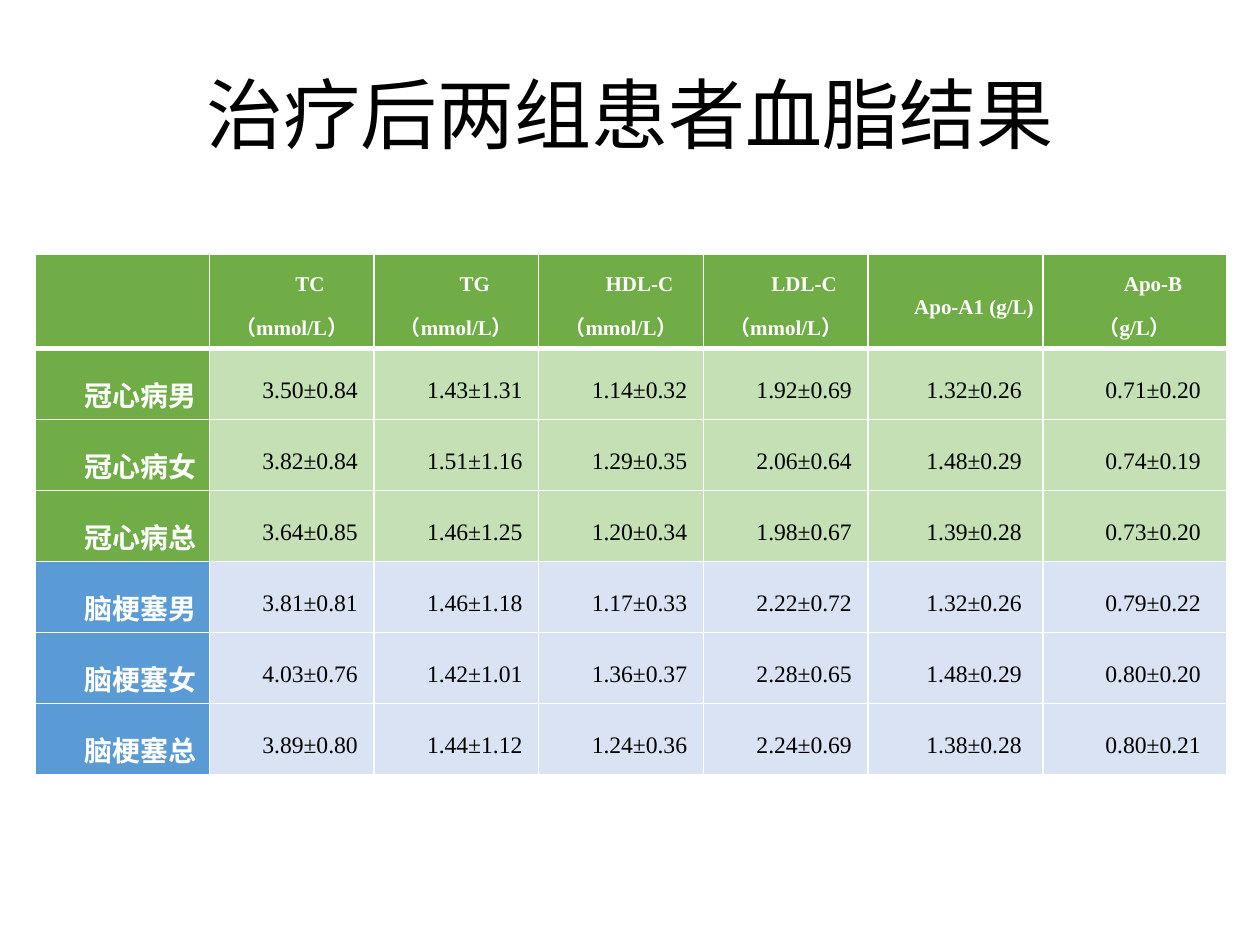
import pptx
import pptx.dml.color
import pptx.enum.text
import pptx.oxml
import pptx.oxml.ns
import pptx.util
from pptx.util import Cm

COLORS = {
    "text": "000000",
    "white": "FFFFFF",
    "coronary": "70AD47",
    "coronary_light": "C5E0B4",
    "stroke": "5B9BD5",
    "stroke_light": "DAE3F3",
}
MIDDLE = pptx.enum.text.MSO_ANCHOR.MIDDLE
CENTER = pptx.enum.text.PP_ALIGN.CENTER

HEADINGS = ["", "TC（mmol/L）", "TG（mmol/L）", "HDL-C（mmol/L）",
            "LDL-C（mmol/L）", "Apo-A1 (g/L)", "Apo-B （g/L）"]
RESULTS = [
    ["冠心病男", "3.50±0.84", "1.43±1.31", "1.14±0.32", "1.92±0.69", "1.32±0.26", "0.71±0.20"],
    ["冠心病女", "3.82±0.84", "1.51±1.16", "1.29±0.35", "2.06±0.64", "1.48±0.29", "0.74±0.19"],
    ["冠心病总", "3.64±0.85", "1.46±1.25", "1.20±0.34", "1.98±0.67", "1.39±0.28", "0.73±0.20"],
    ["脑梗塞男", "3.81±0.81", "1.46±1.18", "1.17±0.33", "2.22±0.72", "1.32±0.26", "0.79±0.22"],
    ["脑梗塞女", "4.03±0.76", "1.42±1.01", "1.36±0.37", "2.28±0.65", "1.48±0.29", "0.80±0.20"],
    ["脑梗塞总", "3.89±0.80", "1.44±1.12", "1.24±0.36", "2.24±0.69", "1.38±0.28", "0.80±0.21"],
]
COLUMN_WIDTHS = [3.51] + [3.32] * 4 + [3.53, 3.69]
ROW_HEIGHTS = [1.9] + [1.43] * len(RESULTS)

CELL_FORMAT = {"vertical_anchor": MIDDLE, "margin_left": Cm(0.19), "margin_right": Cm(0.19),
               "margin_top": 0, "margin_bottom": 0}
PARAGRAPH_FORMAT = {"alignment": CENTER, "line_spacing": 1.5, "space_after": pptx.util.Pt(6)}


def style_font(run, name, size, color, bold=False):
    for key, value in {"name": name, "size": pptx.util.Pt(size), "bold": bold}.items():
        setattr(run.font, key, value)
    run.font.color.rgb = pptx.dml.color.RGBColor.from_string(COLORS[color])


def add_border(cell, side, width):
    """Draw a white line, width in points, on side L, R, T or B."""
    cell._tc.get_or_add_tcPr().append(pptx.oxml.parse_xml(
        f'<a:ln{side} {pptx.oxml.ns.nsdecls("a")} w="{pptx.util.Pt(width)}">'
        f'<a:solidFill><a:srgbClr val="{COLORS["white"]}"/></a:solidFill></a:ln{side}>'))


presentation = pptx.Presentation()
presentation.slide_width = Cm(25.4)
presentation.slide_height = Cm(19.05)
slide = presentation.slides.add_slide(presentation.slide_layouts[5])

title = slide.shapes.title
for key, value in {"left": Cm(1.75), "top": Cm(1.02), "width": Cm(21.9), "height": Cm(2.72)}.items():
    setattr(title, key, value)
title.text_frame.vertical_anchor = MIDDLE
heading = title.text_frame.paragraphs[0]
heading.alignment = CENTER
heading.line_spacing = 0.9
heading_run = heading.add_run()
heading_run.text = "治疗后两组患者血脂结果"
style_font(heading_run, "Arial", 44, "text")

lipids = slide.shapes.add_table(
    len(ROW_HEIGHTS), len(COLUMN_WIDTHS), Cm(0.71), Cm(5.13),
    Cm(sum(COLUMN_WIDTHS)), Cm(sum(ROW_HEIGHTS))).table
for column, width in zip(lipids.columns, COLUMN_WIDTHS):
    column.width = Cm(width)
for row, height in zip(lipids.rows, ROW_HEIGHTS):
    row.height = Cm(height)

for r, values in enumerate([HEADINGS] + RESULTS):
    group = "coronary" if r <= 3 else "stroke"
    for c, value in enumerate(values):
        is_label = r == 0 or c == 0
        cell = lipids.cell(r, c)
        for key, setting in CELL_FORMAT.items():
            setattr(cell, key, setting)

        # The rule under the heading row is heavier than the rest of the grid.
        for side, width in {"L": 1, "R": 1, "T": 3 if r == 1 else 1, "B": 3 if r == 0 else 1}.items():
            add_border(cell, side, width)
        cell.fill.solid()
        cell.fill.fore_color.rgb = pptx.dml.color.RGBColor.from_string(
            COLORS[group if is_label else group + "_light"])

        if value:
            paragraph = cell.text_frame.paragraphs[0]
            for key, setting in PARAGRAPH_FORMAT.items():
                setattr(paragraph, key, setting)
            paragraph._p.get_or_add_pPr().set("indent", str(Cm(0.74)))
            run = paragraph.add_run()
            run.text = value
            size = 12 if r == 0 else 16 if c == 0 else 13.5
            style_font(run, "Times New Roman", size, "white" if is_label else "text", is_label)

presentation.save("out.pptx")
